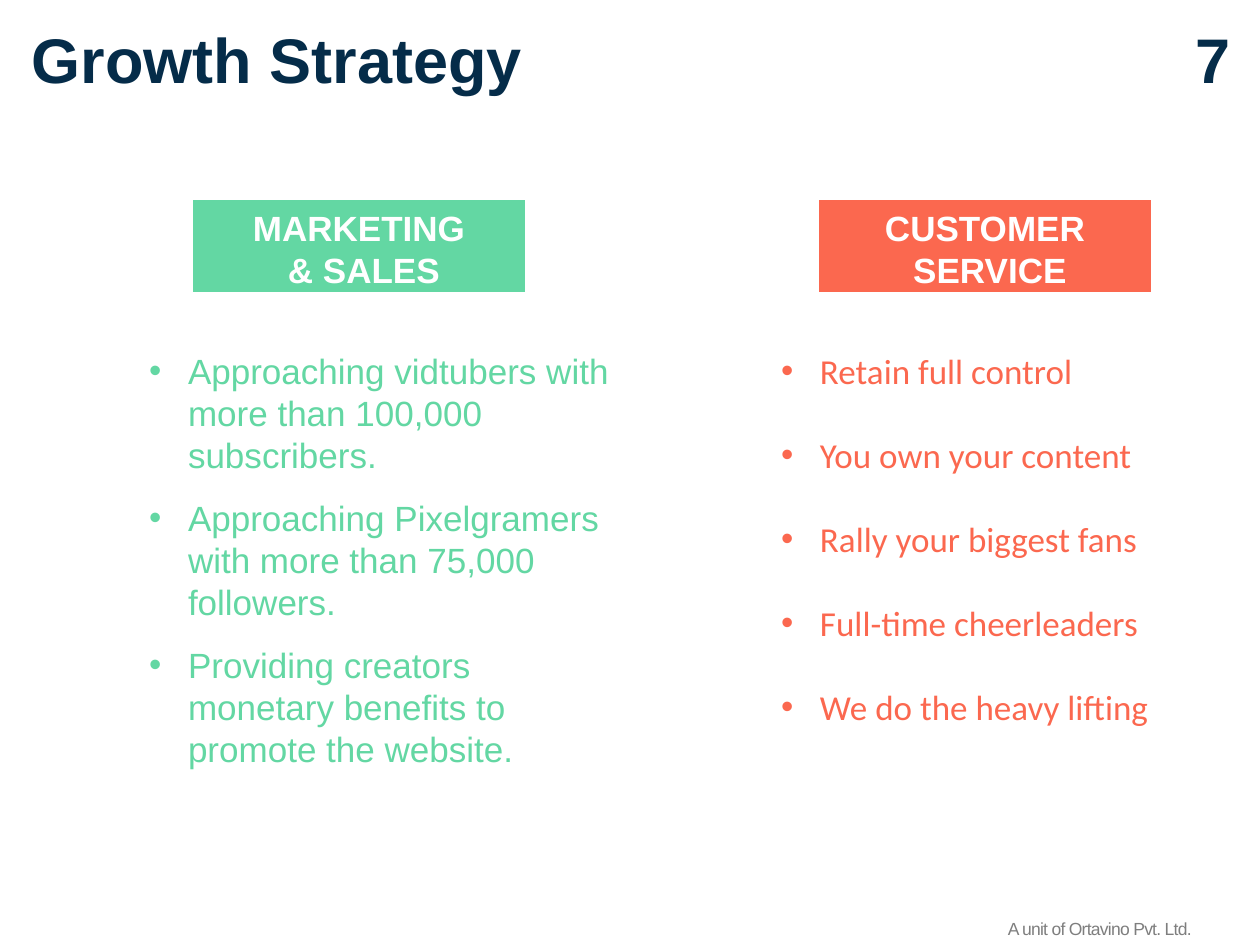
from dataclasses import dataclass
from typing import Any, Optional

from lxml.etree import SubElement
from pptx import Presentation
from pptx.dml.color import RGBColor
from pptx.enum.shapes import MSO_SHAPE
from pptx.enum.text import MSO_ANCHOR, MSO_AUTO_SIZE, PP_ALIGN
from pptx.oxml.ns import qn
from pptx.util import Emu, Pt


@dataclass(frozen=True)
class Theme:
    navy: RGBColor = RGBColor(0x05, 0x2C, 0x49)
    green: RGBColor = RGBColor(0x63, 0xD7, 0xA3)
    coral: RGBColor = RGBColor(0xFB, 0x68, 0x4F)
    gray: RGBColor = RGBColor(0x7E, 0x7E, 0x7E)
    white: RGBColor = RGBColor(0xFF, 0xFF, 0xFF)
    heading_size: int = 36
    body_size: int = 20
    footer_size: int = 10
    main_font: str = "Arial"
    list_font: str = "Calibri"


@dataclass(frozen=True)
class Box:
    left: int
    top: int
    width: int
    height: int


@dataclass(frozen=True)
class TextStyle:
    font: str
    size: int
    color: RGBColor
    bold: bool = False
    align: PP_ALIGN = PP_ALIGN.LEFT
    top_inset: int = 1
    gap: float = 0
    line_height: Optional[float] = None
    bullet_left: int = 0
    bullet_hang: int = 0
    tracking: int = 0


@dataclass(frozen=True)
class Strategy:
    banner_box: Box
    banner: str
    color: RGBColor
    list_box: Box
    items: tuple[str, ...]
    list_style: TextStyle


THEME = Theme()
PIXELS_PER_INCH = 126
HEADING = TextStyle(THEME.main_font, THEME.heading_size, THEME.navy, bold=True, gap=1)
BANNER = TextStyle(THEME.main_font, THEME.body_size, THEME.white, bold=True,
                   align=PP_ALIGN.CENTER, top_inset=6, gap=4)
FOOTER = TextStyle(THEME.main_font, THEME.footer_size, THEME.gray, top_inset=0,
                   line_height=10.4, tracking=-40)

STRATEGIES = (
    Strategy(
        Box(193, 200, 332, 92), "MARKETING\v & SALES", THEME.green,
        Box(147, 348, 469, 426),
        ("Approaching vidtubers with more than 100,000 subscribers.",
         "Approaching Pixelgramers with more than 75,000 followers.",
         "Providing creators monetary benefits to promote the website."),
        TextStyle(THEME.main_font, THEME.body_size, THEME.green, gap=12,
                  bullet_left=41, bullet_hang=39),
    ),
    Strategy(
        Box(819, 200, 332, 92), "CUSTOMER\v SERVICE", THEME.coral,
        Box(781, 348, 407, 457),
        ("Retain full control", "You own your content", "Rally your biggest fans",
         "Full-time cheerleaders", "We do the heavy lifting"),
        TextStyle(THEME.list_font, THEME.body_size, THEME.coral, gap=24,
                  bullet_left=39, bullet_hang=39),
    ),
)


def px(length: int) -> Emu:
    return Emu(round(length * 914400 / PIXELS_PER_INCH))


def apply(target: Any, values: dict[str, Any]) -> None:
    for name, value in values.items():
        setattr(target, name, value)


def place(shape: Any, box: Box) -> None:
    apply(shape, {"left": px(box.left), "top": px(box.top),
                  "width": px(box.width), "height": px(box.height)})


def set_bullet(paragraph: Any, style: TextStyle) -> None:
    properties = paragraph._p.get_or_add_pPr()
    properties.set("marL", str(px(style.bullet_left)))
    properties.set("indent", str(-px(style.bullet_hang)))
    SubElement(properties, qn("a:buFont")).set("typeface", THEME.main_font)
    SubElement(properties, qn("a:buChar")).set("char", "•")


def write(shape: Any, lines: tuple[str, ...], style: TextStyle) -> None:
    frame = shape.text_frame
    apply(frame, {"margin_left": 0, "margin_right": 0, "margin_bottom": 0,
                  "margin_top": px(style.top_inset), "word_wrap": True,
                  "auto_size": MSO_AUTO_SIZE.NONE,
                  "vertical_anchor": MSO_ANCHOR.TOP})
    frame.text = "\n".join(lines)
    for index, paragraph in enumerate(frame.paragraphs):
        first_bullet = style.bullet_left and index == 0
        apply(paragraph, {"alignment": style.align,
                          "space_before": Pt(0 if first_bullet else style.gap)})
        if style.line_height:
            paragraph.line_spacing = Pt(style.line_height)
        if style.bullet_left:
            set_bullet(paragraph, style)
        for run in paragraph.runs:
            apply(run.font, {"name": style.font, "size": Pt(style.size), "bold": style.bold})
            run.font.color.rgb = style.color
            if style.tracking:
                run._r.get_or_add_rPr().set("spc", str(style.tracking))


def add_label(slide: Any, box: Box, text: str, style: TextStyle) -> None:
    label = slide.shapes.add_textbox(0, 0, 0, 0)
    place(label, box)
    write(label, (text,), style)


def add_strategy(slide: Any, placeholder: Any, strategy: Strategy) -> None:
    place(placeholder, strategy.list_box)
    write(placeholder, strategy.items, strategy.list_style)
    banner = slide.shapes.add_shape(MSO_SHAPE.RECTANGLE, 0, 0, 0, 0)
    place(banner, strategy.banner_box)
    banner.shadow.inherit = False
    banner.fill.solid()
    banner.fill.fore_color.rgb = strategy.color
    banner.line.fill.background()
    write(banner, (strategy.banner,), BANNER)


def main() -> None:
    presentation = Presentation()
    apply(presentation, {"slide_width": px(1260), "slide_height": px(945)})
    slide = presentation.slides.add_slide(presentation.slide_layouts[3])
    title, *list_placeholders = slide.placeholders
    place(title, Box(32, 20, 494, 78))
    write(title, ("Growth Strategy",), HEADING)
    add_label(slide, Box(1196, 20, 39, 79), "7", HEADING)
    for placeholder, strategy in zip(list_placeholders, STRATEGIES):
        add_strategy(slide, placeholder, strategy)
    add_label(slide, Box(1008, 921, 240, 18), "A unit of Ortavino Pvt. Ltd.", FOOTER)
    presentation.save("out.pptx")


if __name__ == "__main__":
    main()
